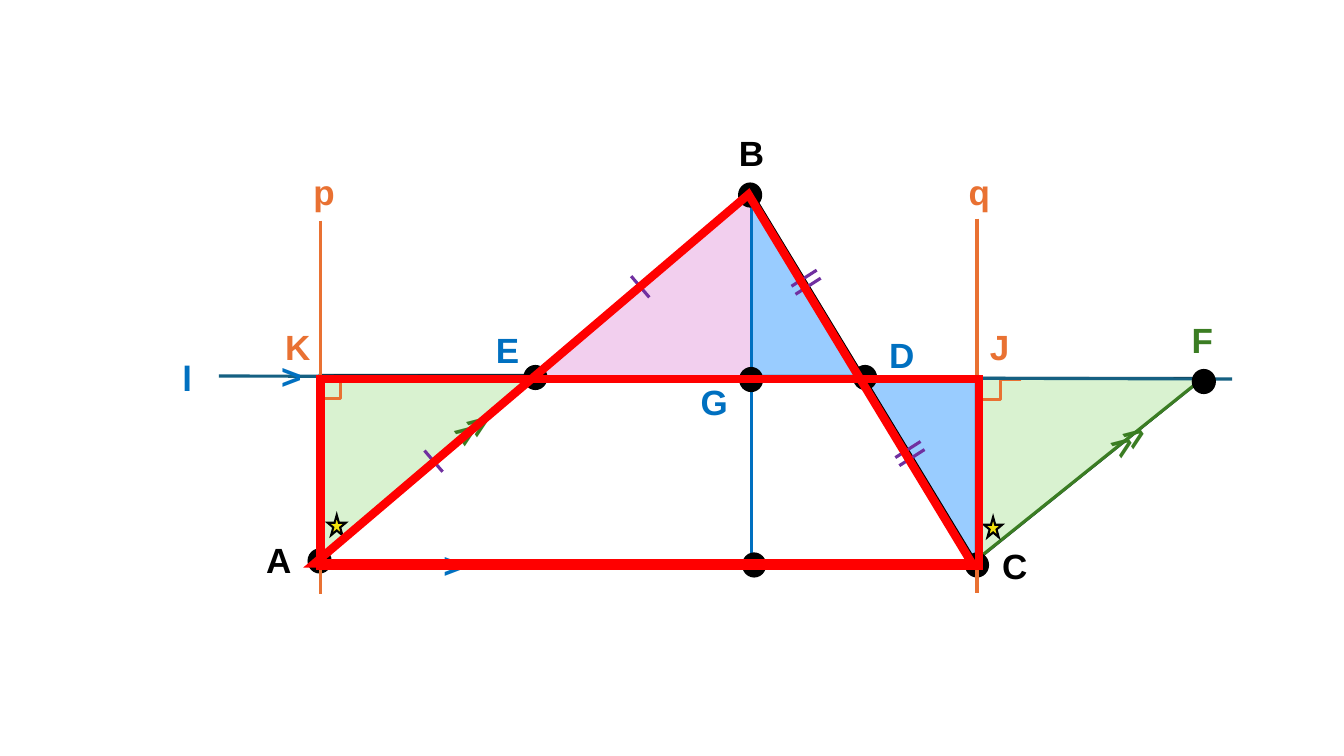
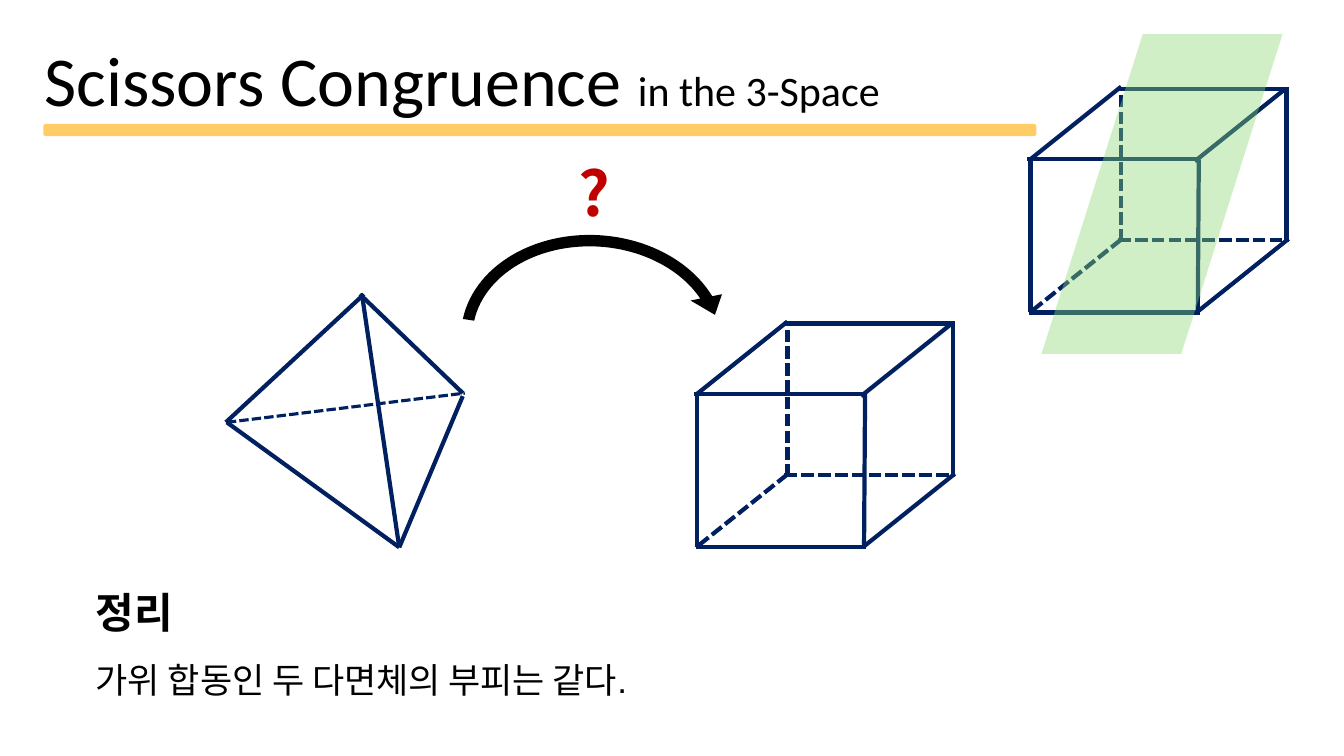
from dataclasses import dataclass
from typing import Any, NamedTuple, Optional

from lxml import etree
from pptx import Presentation
from pptx import util as u
from pptx.dml.color import RGBColor
from pptx.enum import dml, shapes, text
from pptx.oxml.ns import qn

PX = 9144
KIND = shapes.MSO_SHAPE


@dataclass(frozen=True)
class Theme:
    black: str = "000000"
    blue: str = "0070C0"
    teal: str = "156082"
    ink: str = "092A39"
    navy: str = "002060"
    orange: str = "E97132"
    green: str = "3B7D23"
    purple: str = "7030A0"
    red: str = "FF0000"
    crimson: str = "C00000"
    pink_fill: str = "F2CFEE"
    blue_fill: str = "99CCFF"
    green_fill: str = "D9F2D0"
    plane_fill: str = "8ED973"
    star_fill: str = "F2E20C"
    amber: str = "FFCC66"
    diagram_font: str = "Arial"
    title_font: str = "Calibri"
    korean_font: str = "Noto Sans CJK KR"
    title_size: int = 50
    subtitle_size: int = 30
    heading_size: int = 30
    body_size: int = 25
    label_size: int = 25
    question_size: int = 44
    thin: float = 1.5
    medium: float = 2.25
    thick: float = 3
    heavy: float = 6


THEME = Theme()


class Box(NamedTuple):
    left: int
    top: int
    width: int
    height: int

    def emu(self) -> list[int]:
        return [value * PX for value in self]


class Segment(NamedTuple):
    x1: int
    y1: int
    x2: int
    y2: int


@dataclass(frozen=True)
class Figure:
    kind: Any
    box: Box
    fill: Optional[str] = None
    line: Optional[str] = None
    weight: float = THEME.thin
    turn: float = 0
    adjust: tuple[float, ...] = ()
    opacity: int = 100


@dataclass(frozen=True)
class Label:
    words: str
    box: Box
    color: str = THEME.black
    turn: float = 0
    font: str = THEME.diagram_font
    size: int = THEME.label_size


def rgb(color: str) -> RGBColor:
    return RGBColor.from_string(color)


def draw_figure(page: Any, figure: Figure) -> None:
    shape = page.shapes.add_shape(figure.kind, *figure.box.emu())
    shape.shadow.inherit = False
    shape.rotation = figure.turn
    for index, value in enumerate(figure.adjust):
        shape.adjustments[index] = value
    if figure.fill:
        shape.fill.solid()
        shape.fill.fore_color.rgb = rgb(figure.fill)
        if figure.opacity < 100:
            color = shape._element.spPr.find(qn("a:solidFill"))[0]
            etree.SubElement(color, qn("a:alpha"), val=str(figure.opacity * 1000))
    else:
        shape.fill.background()
    if figure.line:
        shape.line.color.rgb = rgb(figure.line)
        shape.line.width = u.Pt(figure.weight)
        outline = shape._element.spPr.find(qn("a:ln"))
        etree.SubElement(outline, qn("a:miter"), lim="800000")
    else:
        shape.line.fill.background()


def draw_line(page: Any, segment: Segment, color: str, weight: float = THEME.medium,
              dashed: bool = False, elbow: bool = False) -> None:
    kind = shapes.MSO_CONNECTOR.ELBOW if elbow else shapes.MSO_CONNECTOR.STRAIGHT
    line = page.shapes.add_connector(kind, *[value * PX for value in segment])
    line.line.color.rgb = rgb(color)
    line.line.width = u.Pt(weight)
    if dashed:
        line.line.dash_style = dml.MSO_LINE.SQUARE_DOT
    etree.SubElement(line._element.spPr, qn("a:effectLst"))


def style(font: Any, name: str, color: str, size: int, bold: bool = False) -> None:
    font.name = name
    font.color.rgb = rgb(color)
    font.size = u.Pt(size)
    font.bold = bold


def draw_label(page: Any, label: Label) -> None:
    box = page.shapes.add_textbox(*label.box.emu())
    box.rotation = label.turn
    box.text_frame.word_wrap = True
    para = box.text_frame.paragraphs[0]
    para.text = label.words
    style(para.font, label.font, label.color, label.size, bold=True)


def place(holder: Any, box: Box, anchor: Any) -> Any:
    holder.left, holder.top, holder.width, holder.height = box.emu()
    frame = holder.text_frame
    frame.word_wrap = True
    frame.auto_size = text.MSO_AUTO_SIZE.NONE
    frame.vertical_anchor = anchor
    return frame


def write_title(page: Any, main: str, detail: str) -> None:
    frame = place(page.shapes.title, Box(34, 31, 1226, 94), text.MSO_ANCHOR.TOP)
    para = frame.paragraphs[0]
    para.alignment = text.PP_ALIGN.LEFT
    para.font.name = THEME.title_font
    para.font.color.rgb = rgb(THEME.black)
    for words, size in ((main, THEME.title_size), (detail, THEME.subtitle_size)):
        span = para.add_run()
        span.text = words
        span.font.size = u.Pt(size)


def write_theorem(page: Any, heading: str, statement: str) -> None:
    frame = place(page.placeholders[1], Box(85, 552, 1164, 142), text.MSO_ANCHOR.TOP)
    rows = ((heading, THEME.title_font, THEME.heading_size, True),
            (statement, THEME.diagram_font, THEME.body_size, False))
    for index, (words, name, size, bold) in enumerate(rows):
        para = frame.add_paragraph() if index else frame.paragraphs[0]
        para.text = words
        para.line_spacing = 1.5
        para.space_before = u.Pt(0)
        style(para.font, name, THEME.black, size, bold)
        props = para._p.get_or_add_pPr()
        props.set("marL", "0")
        props.set("indent", "0")
        default = props.find(qn("a:defRPr"))
        default.addprevious(etree.Element(qn("a:buNone")))
        etree.SubElement(default, qn("a:ea"), typeface=THEME.korean_font)


def triangle_page(page: Any) -> None:
    right = KIND.RIGHT_TRIANGLE
    triangle = KIND.ISOSCELES_TRIANGLE
    pieces = (
        Figure(triangle, Box(856, 374, 337, 185), THEME.pink_fill, turn=180, adjust=(0.67,)),
        Figure(right, Box(858, 377, 110, 182), THEME.blue_fill, THEME.ink, turn=180),
        Figure(triangle, Box(532, 188, 324, 185), THEME.pink_fill, adjust=(0.65,)),
        Figure(right, Box(745, 191, 110, 182), THEME.blue_fill, THEME.ink),
        Figure(right, Box(992, 353, 180, 224), THEME.green_fill, THEME.ink, turn=90),
        Figure(right, Box(333, 356, 181, 213), THEME.green_fill, THEME.ink, turn=90),
    )
    for piece in pieces:
        draw_figure(page, piece)
    for corner in (Segment(1013, 376, 971, 396), Segment(358, 375, 318, 395)):
        draw_line(page, corner, THEME.orange, elbow=True)
    draw_line(page, Segment(1192, 376, 969, 555), THEME.green)
    draw_figure(page, Figure(triangle, Box(309, 190, 660, 370), line=THEME.black,
                             weight=THEME.medium, adjust=(0.66,)))
    draw_line(page, Segment(217, 373, 1222, 376), THEME.teal)
    draw_line(page, Segment(745, 190, 745, 561), THEME.blue)

    for left, top in ((732, 181), (519, 362), (305, 544), (846, 362),
                      (957, 548), (736, 548), (733, 364), (1182, 366)):
        draw_figure(page, Figure(KIND.OVAL, Box(left, top, 24, 25), THEME.black))

    for tick in (Segment(626, 274, 644, 295), Segment(421, 447, 439, 468)):
        draw_line(page, tick, THEME.purple)
    for x, y in ((810, 268), (913, 438)):
        for step in (0, 1):
            left, top = x + 4 * step, y + 8 * step
            draw_line(page, Segment(left, top, left - 25, top + 16), THEME.purple)
    for perpendicular in (Segment(318, 219, 318, 589), Segment(969, 217, 969, 588)):
        draw_line(page, perpendicular, THEME.orange)

    labels = (
        ("D", 872, 326, 64, THEME.blue), ("B", 723, 126, 49, THEME.black),
        ("A", 254, 529, 49, THEME.black), ("C", 984, 535, 49, THEME.black),
        ("E", 482, 321, 64, THEME.blue), ("l", 171, 349, 64, THEME.blue),
        (">", 269, 347, 48, THEME.blue), (">", 430, 534, 49, THEME.blue),
        ("G", 685, 373, 64, THEME.blue), ("F", 1172, 311, 49, THEME.green),
        ("p", 301, 164, 64, THEME.orange), ("q", 951, 164, 64, THEME.orange),
        ("K", 273, 318, 64, THEME.orange), ("J", 972, 318, 64, THEME.orange),
    )
    for words, left, top, width, color in labels:
        draw_label(page, Label(words, Box(left, top, width, 52), color))
    for x, y in ((441, 400), (1092, 412)):
        for step in (0, 1):
            chevron = Box(x + 12 * step, y - 9 * step, 49, 53)
            draw_label(page, Label(">", chevron, THEME.green, turn=324.6))

    for left, top in ((325, 511), (976, 513)):
        draw_figure(page, Figure(KIND.STAR_5_POINT, Box(left, top, 18, 20),
                                 THEME.star_fill, THEME.black))
    for kind, box, adjust in ((KIND.RECTANGLE, Box(318, 376, 653, 185), ()),
                              (triangle, Box(312, 193, 652, 366), (0.66,))):
        draw_figure(page, Figure(kind, box, line=THEME.red, weight=THEME.heavy, adjust=adjust))


def draw_cube(page: Any, left: int, top: int) -> None:
    visible = (
        Segment(166, 74, 256, 2), Segment(0, 72, 170, 72), Segment(3, 224, 3, 72),
        Segment(170, 72, 169, 224), Segment(257, 3, 257, 153), Segment(2, 224, 171, 224),
        Segment(169, 223, 259, 151), Segment(3, 72, 93, 0), Segment(90, 2, 259, 2),
    )
    hidden = (Segment(93, 154, 93, 2), Segment(5, 222, 95, 150), Segment(90, 152, 259, 152))
    for edges, dashed in ((visible, False), (hidden, True)):
        for edge in edges:
            moved = Segment(left + edge.x1, top + edge.y1, left + edge.x2, top + edge.y2)
            draw_line(page, moved, THEME.navy, THEME.thick, dashed)


def space_page(page: Any) -> None:
    write_title(page, "Scissors Congruence ", "in the 3-Space")
    for edge in (Segment(361, 292, 224, 419), Segment(359, 292, 396, 543),
                 Segment(225, 419, 396, 543), Segment(357, 292, 459, 390),
                 Segment(396, 543, 459, 393)):
        draw_line(page, edge, THEME.navy, THEME.thick)
    draw_line(page, Segment(225, 419, 461, 390), THEME.navy, dashed=True)
    draw_cube(page, 688, 319)
    draw_figure(page, Figure(KIND.CIRCULAR_ARROW, Box(447, 223, 283, 227), THEME.black,
                             turn=3.4, adjust=(0.05, 5.38, 201.79, 111.24, 0.07)))
    draw_label(page, Label("?", Box(564, 149, 83, 84), THEME.crimson,
                           font=THEME.korean_font, size=THEME.question_size))
    draw_figure(page, Figure(KIND.ROUNDED_RECTANGLE, Box(44, 124, 983, 10),
                             THEME.amber, THEME.amber))
    write_theorem(page, "정리", "가위 합동인 두 다면체의 부피는 같다.")
    draw_cube(page, 1019, 86)
    draw_figure(page, Figure(KIND.PARALLELOGRAM, Box(1033, 34, 239, 317),
                             THEME.plane_fill, adjust=(0.42,), opacity=40))


def main() -> None:
    deck = Presentation()
    deck.slide_width, deck.slide_height = 1333 * PX, 750 * PX
    triangle_page(deck.slides.add_slide(deck.slide_layouts[6]))
    space_page(deck.slides.add_slide(deck.slide_layouts[1]))
    deck.save("out.pptx")


if __name__ == "__main__":
    main()
